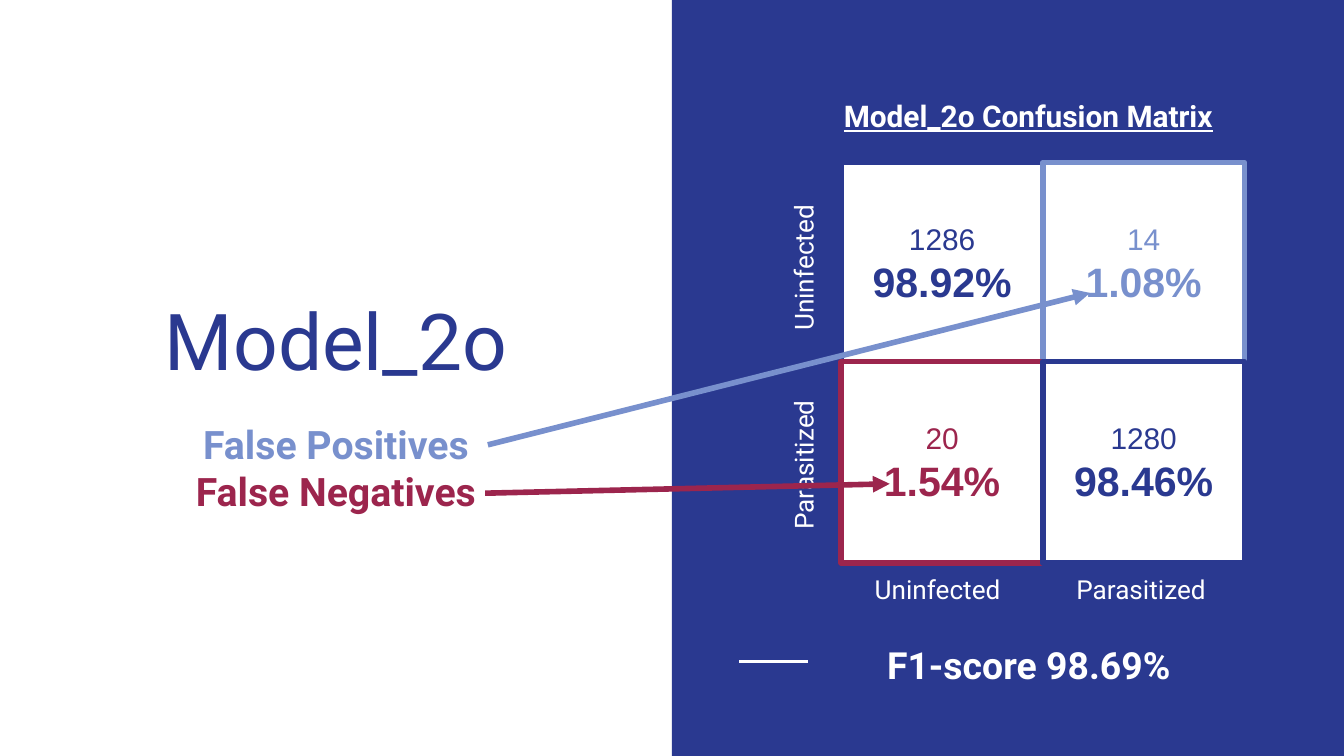
from lxml import etree
from pptx import Presentation
from pptx import util as u
from pptx.dml.color import RGBColor
from pptx.enum import shapes, text
from pptx.oxml import ns

COLORS = {"navy": "2A3990", "sky": "7890CD", "wine": "9C254D", "white": "FFFFFF"}
COLUMNS = 100
ROWS = 56.25


def add_span(para, words, size, color, font="Roboto", bold=False, underline=False):
    """Add formatted text to a paragraph."""
    span = para.add_run()
    span.text = words
    span.font.size = u.Pt(size)
    span.font.name = font
    span.font.bold = bold
    span.font.underline = underline
    span.font.color.rgb = RGBColor.from_string(COLORS[color])


class Painter:
    """Draw styled elements on a page, measured in grid columns and rows."""

    def __init__(self, deck):
        self.page = deck.slides.add_slide(deck.slide_layouts[6])
        self.column = deck.slide_width / COLUMNS
        self.row = deck.slide_height / ROWS

    def place(self, left, top, width, height):
        return (round(left * self.column), round(top * self.row),
                round(width * self.column), round(height * self.row))

    def set_lines(self, box, lines, align, anchor):
        frame = box.text_frame
        frame.word_wrap = True
        frame.vertical_anchor = anchor
        frame.margin_left = frame.margin_right = u.Inches(0.1)
        frame.margin_top = frame.margin_bottom = u.Inches(0.1)
        for index, (words, style) in enumerate(lines):
            para = frame.add_paragraph() if index else frame.paragraphs[0]
            para.alignment = align
            add_span(para, words, **style)

    def label(self, area, lines, align=text.PP_ALIGN.LEFT,
              anchor=text.MSO_ANCHOR.TOP, rotation=0):
        box = self.page.shapes.add_textbox(*self.place(*area))
        box.rotation = rotation
        self.set_lines(box, lines, align, anchor)

    def panel(self, area, fill, line=None, lines=()):
        box = self.page.shapes.add_shape(shapes.MSO_SHAPE.RECTANGLE, *self.place(*area))
        box.shadow.inherit = False
        box.fill.solid()
        box.fill.fore_color.rgb = RGBColor.from_string(COLORS[fill])
        if line:
            box.line.color.rgb = RGBColor.from_string(COLORS[line])
            box.line.width = u.Pt(3)
        else:
            box.line.fill.background()
        self.set_lines(box, lines, text.PP_ALIGN.CENTER, text.MSO_ANCHOR.MIDDLE)

    def line(self, start, end, color, width, arrow=False):
        connector = self.page.shapes.add_connector(
            shapes.MSO_CONNECTOR.STRAIGHT, *self.place(*start, *end))
        connector.line.color.rgb = RGBColor.from_string(COLORS[color])
        connector.line.width = u.Pt(width)
        properties = connector.element.spPr
        if arrow:
            etree.SubElement(properties.find(ns.qn("a:ln")), ns.qn("a:tailEnd"), type="triangle")
        etree.SubElement(properties, ns.qn("a:effectLst"))


def main():
    """Build the confusion matrix slide."""
    deck = Presentation()
    deck.slide_width, deck.slide_height = u.Inches(10), u.Inches(5.625)
    painter = Painter(deck)
    center = text.PP_ALIGN.CENTER

    painter.panel((COLUMNS / 2, 0, COLUMNS / 2, ROWS), "navy")
    painter.line((55, 49.2), (60.1, 49.2), "white", 1.5)
    painter.label((2.9, 12.6, 44.2, 17.1), [("Model_2o", dict(size=42, color="navy"))],
                  center, text.MSO_ANCHOR.BOTTOM)
    painter.label((2.9, 30.3, 44.2, 13.9), [
        ("False Positives", dict(size=21, color="sky", bold=True)),
        ("False Negatives", dict(size=21, color="wine", bold=True)),
    ], center)

    left, top, side, row_step = 62.6, 12.1, 15, 14.8
    matrix = [
        [("1286", "98.92%", "navy"), ("14", "1.08%", "sky")],
        [("20", "1.54%", "wine"), ("1280", "98.46%", "navy")],
    ]
    for row, cells in enumerate(matrix):
        for column, (count, share, color) in enumerate(cells):
            painter.panel((left + column * side, top + row * row_step, side, side),
                          "white", color, [
                (count, dict(size=16, color=color, font="Arial")),
                (share, dict(size=22, color=color, font="Arial", bold=True)),
            ])

    for index, name in enumerate(["Uninfected", "Parasitized"]):
        caption = [(name, dict(size=14, color="white"))]
        painter.label((53.8, top + 5.3 + index * row_step, 12, 4.4), caption, rotation=270)
        painter.label((left + 1.5 + index * side, 41.7, 12, 4.4), caption)

    painter.label((61.8, 6.3, 30.9, 4.7), [
        ("Model_2o Confusion Matrix", dict(size=16, color="white", bold=True, underline=True))])
    painter.line((36.3, 33.1), (81.1, 21.8), "sky", 3, arrow=True)
    painter.line((36.1, 36.7), (66.2, 36), "wine", 3, arrow=True)
    painter.label((62, 46.8, 29.1, 5.4),
                  [("F1-score 98.69%", dict(size=20, color="white", bold=True))], center)

    deck.save("out.pptx")


if __name__ == "__main__":
    main()
